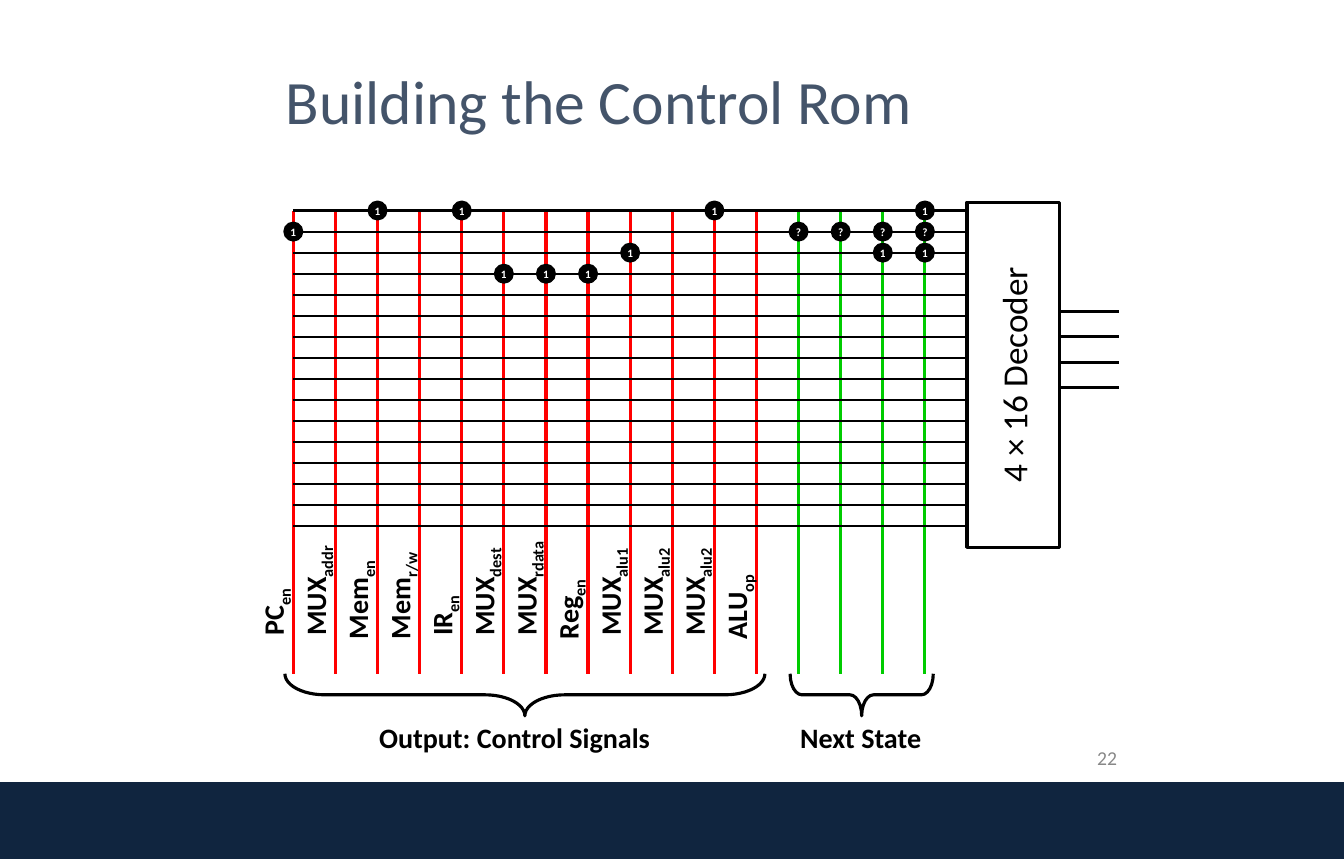
import pptx
import pptx.dml.color
import pptx.enum.shapes
import pptx.enum.text
import pptx.oxml.ns
import pptx.util
from lxml import etree

Pt = pptx.util.Pt
RGBColor = pptx.dml.color.RGBColor
SHAPE = pptx.enum.shapes.MSO_SHAPE
ALIGN = pptx.enum.text.PP_ALIGN
ANCHOR = pptx.enum.text.MSO_ANCHOR

BLACK = RGBColor(0x00, 0x00, 0x00)
WHITE = RGBColor(0xFF, 0xFF, 0xFF)
NAVY = RGBColor(0x10, 0x25, 0x3F)
SLATE = RGBColor(0x44, 0x54, 0x6A)
GRAY = RGBColor(0x88, 0x88, 0x88)
RED = RGBColor(0xFF, 0x00, 0x00)
GREEN = RGBColor(0x00, 0xCC, 0x00)

SLIDE_WIDTH, SLIDE_HEIGHT = 957.6, 612
GRID_LEFT, GRID_TOP = 209, 150
COLUMN_GAP, ROW_GAP = 30, 15
ROW_COUNT = 16
ROW_RIGHT, COLUMN_BOTTOM = 689, 480
STATE_COLUMNS = 4

# Name, subscript, box length, lower end of the box
SIGNALS = [
    ("PC", "en", 50, 460),
    ("MUX", "addr", 84, 460),
    ("Mem", "en", 73, 462.5),
    ("Mem", "r/w", 79, 462.5),
    ("IR", "en", 45, 460),
    ("MUX", "dest", 80, 460),
    ("MUX", "rdata", 88, 460),
    ("Reg", "en", 61, 462.5),
    ("MUX", "alu1", 81, 460),
    ("MUX", "alu2", 81, 460),
    ("MUX", "alu2", 81, 460),
    ("ALU", "op", 70, 462.5),
]

# Row, mark, columns
ROM_BITS = [
    (0, "1", (2, 4, 10, 15)),
    (1, "1", (0,)),
    (1, "?", (12, 13, 14, 15)),
    (2, "1", (8, 14, 15)),
    (3, "1", (5, 6, 7)),
]


class Diagram:
    font = "Calibri"
    thick = 2.25

    def __init__(self, slide):
        self.slide = slide

    def line(self, x1, y1, x2, y2, color=BLACK, weight=thick):
        connector = self.slide.shapes.add_connector(
            pptx.enum.shapes.MSO_CONNECTOR.STRAIGHT, Pt(x1), Pt(y1), Pt(x2), Pt(y2))
        connector.line.color.rgb = color
        connector.line.width = Pt(weight)
        properties = connector._element.spPr
        etree.SubElement(properties, pptx.oxml.ns.qn("a:effectLst"))

    def shape(self, kind, left, top, width, height, fill=None, outline=BLACK):
        shape = self.slide.shapes.add_shape(kind, Pt(left), Pt(top), Pt(width), Pt(height))
        shape.shadow.inherit = False
        if fill is None:
            shape.fill.background()
        else:
            shape.fill.solid()
            shape.fill.fore_color.rgb = fill
        if outline is None:
            shape.line.fill.background()
        else:
            shape.line.color.rgb = outline
            shape.line.width = Pt(self.thick)
        return shape

    def label(self, shape, text, size, color=BLACK, bold=False, align=ALIGN.LEFT,
              anchor=ANCHOR.TOP, subscript=None):
        frame = shape.text_frame
        frame.word_wrap = False
        frame.vertical_anchor = anchor
        paragraph = frame.paragraphs[0]
        paragraph.alignment = align
        for part in filter(None, (text, subscript)):
            run = paragraph.add_run()
            run.text = part
            run.font.name = self.font
            run.font.size = Pt(size)
            run.font.bold = bold
            run.font.color.rgb = color
        if subscript:
            run.font._element.set("baseline", "-25000")
        return paragraph

    def text(self, text, left, top, width, height, size, rotation=0, **style):
        box = self.slide.shapes.add_textbox(Pt(left), Pt(top), Pt(width), Pt(height))
        box.rotation = rotation
        return self.label(box, text, size, **style)

    def brace(self, first, last, curve):
        """Draw a downward brace under a range of columns."""
        depth, length = 30, (last - first) * COLUMN_GAP + 12
        center_x = (column_x(first) + column_x(last)) / 2
        center_y = COLUMN_BOTTOM + depth / 2
        brace = self.shape(SHAPE.LEFT_BRACE, center_x - depth / 2, center_y - length / 2,
                           depth, length)
        brace.rotation = 270
        brace.adjustments[0] = curve

    def signal(self, column, name, subscript, length, bottom):
        height = 31.5
        center_x, center_y = column_x(column) - 14.5, bottom - length / 2
        self.text(name, center_x - length / 2, center_y - height / 2, length, height, 20,
                  rotation=270, bold=True, subscript=subscript)

    def bit(self, column, row, mark):
        size = 12
        dot = self.shape(SHAPE.OVAL, column_x(column) - size / 2, row_y(row) - size / 2,
                         size, size, fill=BLACK)
        frame = dot.text_frame
        frame.margin_left = frame.margin_right = frame.margin_top = frame.margin_bottom = 0
        self.label(dot, mark, 8, WHITE, True, ALIGN.CENTER, ANCHOR.MIDDLE)


def column_x(column):
    return GRID_LEFT + column * COLUMN_GAP


def row_y(row):
    return GRID_TOP + row * ROW_GAP


def main():
    presentation = pptx.Presentation()
    presentation.slide_width = Pt(SLIDE_WIDTH)
    presentation.slide_height = Pt(SLIDE_HEIGHT)
    diagram = Diagram(presentation.slides.add_slide(presentation.slide_layouts[6]))

    diagram.shape(SHAPE.RECTANGLE, 0, 557.3, SLIDE_WIDTH, 54.7, fill=NAVY, outline=None)
    diagram.text("22", 635, 528, 168, 37, 14, color=GRAY, align=ALIGN.RIGHT)
    title = diagram.text("Building the Control Rom", 196.5, 12, 600, 90, 43.9,
                         color=SLATE, anchor=ANCHOR.BOTTOM)
    title.line_spacing = 0.9

    decoder = diagram.shape(SHAPE.RECTANGLE, 599, 234, 246, 66)
    decoder.rotation = 270
    diagram.label(decoder, "4 × 16 Decoder", 25.1, align=ALIGN.CENTER, anchor=ANCHOR.MIDDLE)
    for wire in range(4):
        y = 222 + 18 * wire
        diagram.line(755, y, 797, y)

    signal_count = len(SIGNALS)
    column_count = signal_count + STATE_COLUMNS
    for column in range(column_count):
        x = column_x(column)
        diagram.line(x, GRID_TOP, x, COLUMN_BOTTOM, RED if column < signal_count else GREEN)
    for row in range(ROW_COUNT):
        diagram.line(ROW_RIGHT, row_y(row), GRID_LEFT, row_y(row), weight=1.5)

    for column, signal in enumerate(SIGNALS):
        diagram.signal(column, *signal)
    diagram.brace(0, signal_count - 1, 0.95)
    diagram.brace(signal_count, column_count - 1, 0.28)
    diagram.text("Output: Control Signals", 263, 510, 209, 31.5, 20, bold=True)
    diagram.text("Next State", 563, 510, 103, 31.5, 20, bold=True)

    for row, mark, columns in ROM_BITS:
        for column in columns:
            diagram.bit(column, row, mark)

    presentation.save("out.pptx")


if __name__ == "__main__":
    main()
